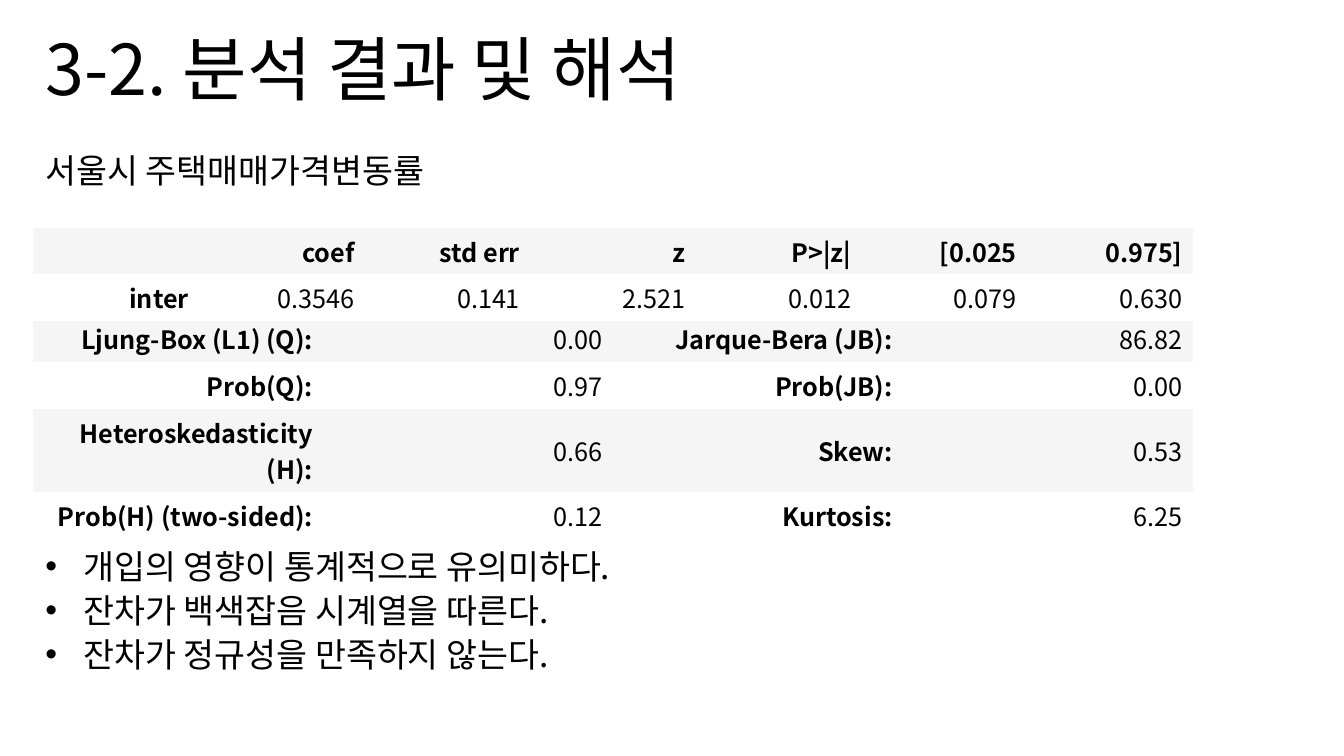
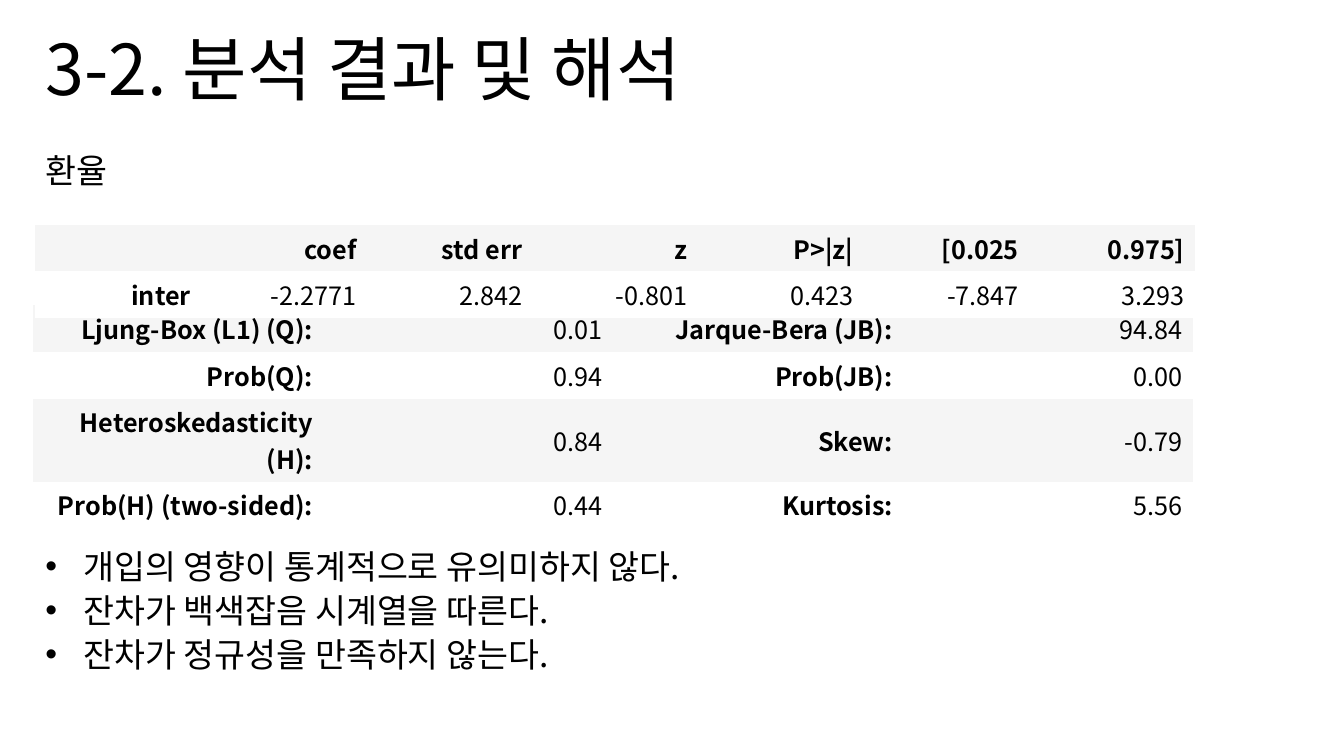
from pptx import Presentation
from pptx import util as u
from pptx.dml.color import RGBColor
from pptx.enum import text as t
from pptx.oxml import ns
from lxml import etree

# Shared look
PX = 9144  # one px is a hundredth of an inch
FONT = "Noto Sans CJK KR"
BLACK = RGBColor(0x00, 0x00, 0x00)
WHITE = RGBColor(0xFF, 0xFF, 0xFF)
GRAY = RGBColor(0xF5, 0xF5, 0xF5)
PLAIN = "{2D5ABB26-0587-4C30-8999-92F81FD0307C}"  # no style, no grid
LEFT, WIDE = 35, 1265
SPAN = 1150
INDENT = 38

# Shared wording
TITLE = "3-2. 분석 결과 및 해석"
HEADS = ["", "coef", "std err", "z", "P>|z|", "[0.025", "0.975]"]
TESTS = [
    "Ljung-Box (L1) (Q):", "Jarque-Bera (JB):",
    "Prob(Q):", "Prob(JB):",
    "Heteroskedasticity (H):", "Skew:",
    "Prob(H) (two-sided):", "Kurtosis:",
]
NOTES = ["잔차가 백색잡음 시계열을 따른다.", "잔차가 정규성을 만족하지 않는다."]

# What differs: topic, first finding, estimates, test values, table places
PAGES = [
    dict(topic="서울시 주택매매가격변동률",
         found="개입의 영향이 통계적으로 유의미하다.",
         coefs=["0.3546", "0.141", "2.521", "0.012", "0.079", "0.630"],
         stats=["0.00", "86.82", "0.97", "0.00", "0.66", "0.53", "0.12", "6.25"],
         upper=(33, 226), lower=(33, 313)),
    dict(topic="환율",
         found="개입의 영향이 통계적으로 유의미하지 않다.",
         coefs=["-2.2771", "2.842", "-0.801", "0.423", "-7.847", "3.293"],
         stats=["0.01", "94.84", "0.94", "0.00", "0.84", "-0.79", "0.44", "5.56"],
         upper=(35, 223), lower=(33, 303)),
]


def write(para, words, size=18, bold=False, align=t.PP_ALIGN.LEFT,
          line=None, before=0):
    """Put formatted text into a paragraph."""
    para.alignment = align
    para.space_before = u.Pt(before)
    if line:
        para.line_spacing = line
    run = para.add_run()
    run.text = words
    font = run.font
    font.size, font.bold, font.name = u.Pt(size), bold, FONT
    font.color.rgb = BLACK
    east = etree.SubElement(font._element, ns.qn("a:ea"))
    east.set("typeface", FONT)


def bullet(para):
    """Give a paragraph a hanging dot."""
    props = para._p.get_or_add_pPr()
    props.set("marL", str(INDENT * PX))
    props.set("indent", str(-INDENT * PX))
    face = etree.SubElement(props, ns.qn("a:buFont"))
    face.set("typeface", "Arial")
    etree.SubElement(props, ns.qn("a:buChar")).set("char", "•")


def place(shape, top, high, anchor, fit):
    """Move a placeholder and return its text frame."""
    shape.left, shape.top = LEFT * PX, top * PX
    shape.width, shape.height = WIDE * PX, high * PX
    frame = shape.text_frame
    frame.word_wrap = True
    frame.vertical_anchor = anchor
    frame.auto_size = fit
    return frame


def grid(slide, spot, rows, highs, strong):
    """Add a striped table; strong(row, col) tells which cells are bold."""
    count = len(rows[0])
    left, top = spot
    table = slide.shapes.add_table(
        len(rows), count, left * PX, top * PX, SPAN * PX, sum(highs) * PX).table
    table.first_row = table.horz_banding = False
    table._tbl.tblPr.find(ns.qn("a:tableStyleId")).text = PLAIN
    for col in table.columns:
        col.width = SPAN * PX // count
    for r, row in enumerate(rows):
        table.rows[r].height = highs[r] * PX
        for c, words in enumerate(row):
            cell = table.cell(r, c)
            cell.fill.solid()
            cell.fill.fore_color.rgb = WHITE if r % 2 else GRAY
            cell.vertical_anchor = t.MSO_ANCHOR.MIDDLE
            if words:
                write(cell.text_frame.paragraphs[0], words,
                      bold=strong(r, c), align=t.PP_ALIGN.RIGHT)


def page(deck, topic, found, coefs, stats, upper, lower):
    slide = deck.slides.add_slide(deck.slide_layouts[0])

    # Title
    head = place(slide.shapes.title, 21, 92, t.MSO_ANCHOR.BOTTOM,
                 t.MSO_AUTO_SIZE.TEXT_TO_FIT_SHAPE)
    write(head.paragraphs[0], TITLE, size=54, line=0.9)

    # Topic, then findings below the tables
    body = place(slide.placeholders[1], 151, 577, t.MSO_ANCHOR.TOP,
                 t.MSO_AUTO_SIZE.NONE)
    write(body.paragraphs[0], topic, size=24, line=0.81)
    for i, words in enumerate([found] + NOTES):
        para = body.add_paragraph()
        write(para, words, size=24, line=0.81, before=8 if i else 260)
        bullet(para)

    # Test statistics, two label and value pairs a row
    cells = [x for pair in zip(TESTS, stats) for x in pair]
    tests = [cells[i:i + 4] for i in range(0, len(cells), 4)]
    grid(slide, lower, tests, [40, 40, 70, 40], lambda r, c: c % 2 == 0)

    # Estimates
    grid(slide, upper, [HEADS, ["inter"] + coefs], [40, 40],
         lambda r, c: r == 0 or c == 0)


def main():
    deck = Presentation()
    deck.slide_width, deck.slide_height = 1333 * PX, 750 * PX
    for data in PAGES:
        page(deck, **data)
    deck.save("out.pptx")


if __name__ == "__main__":
    main()
